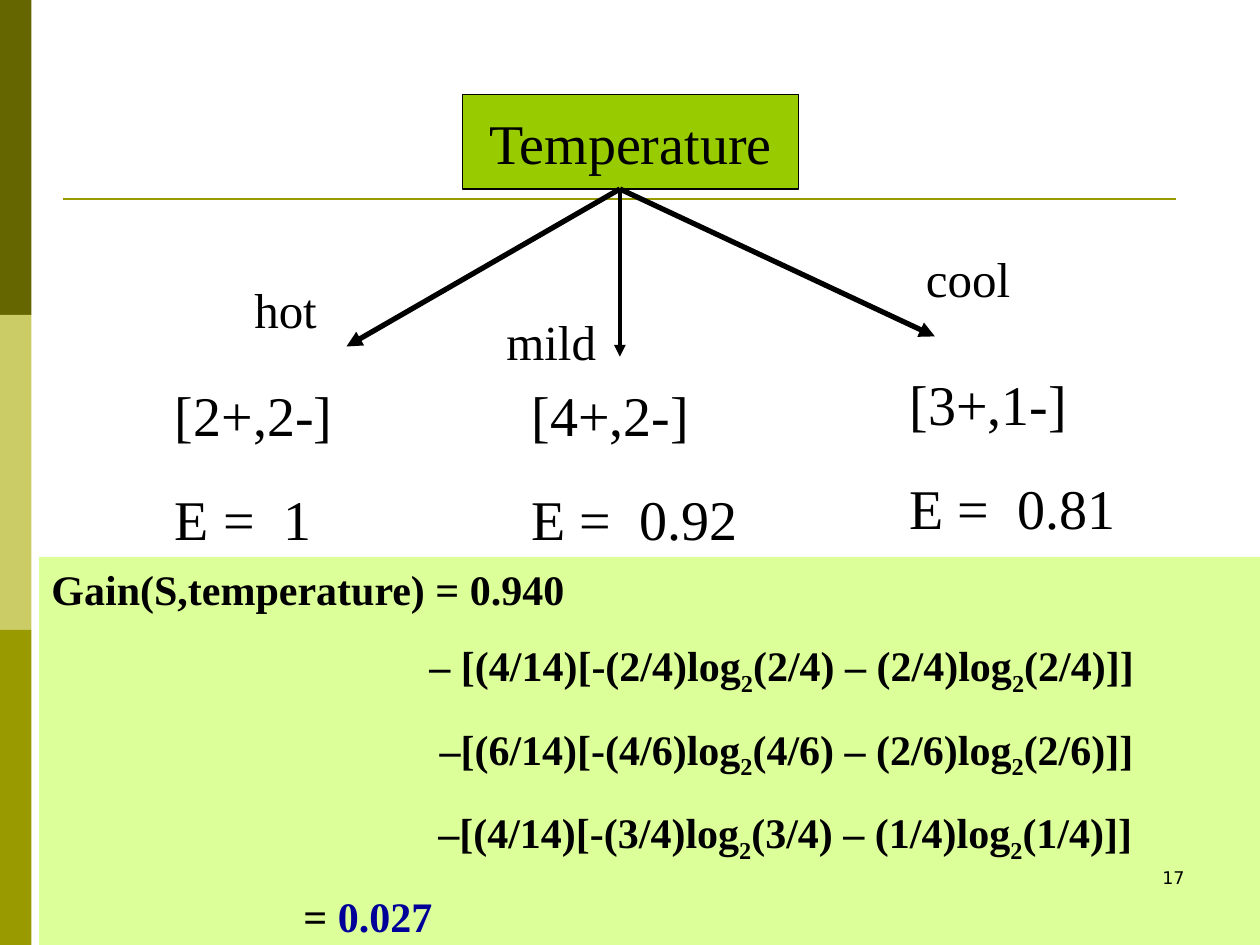
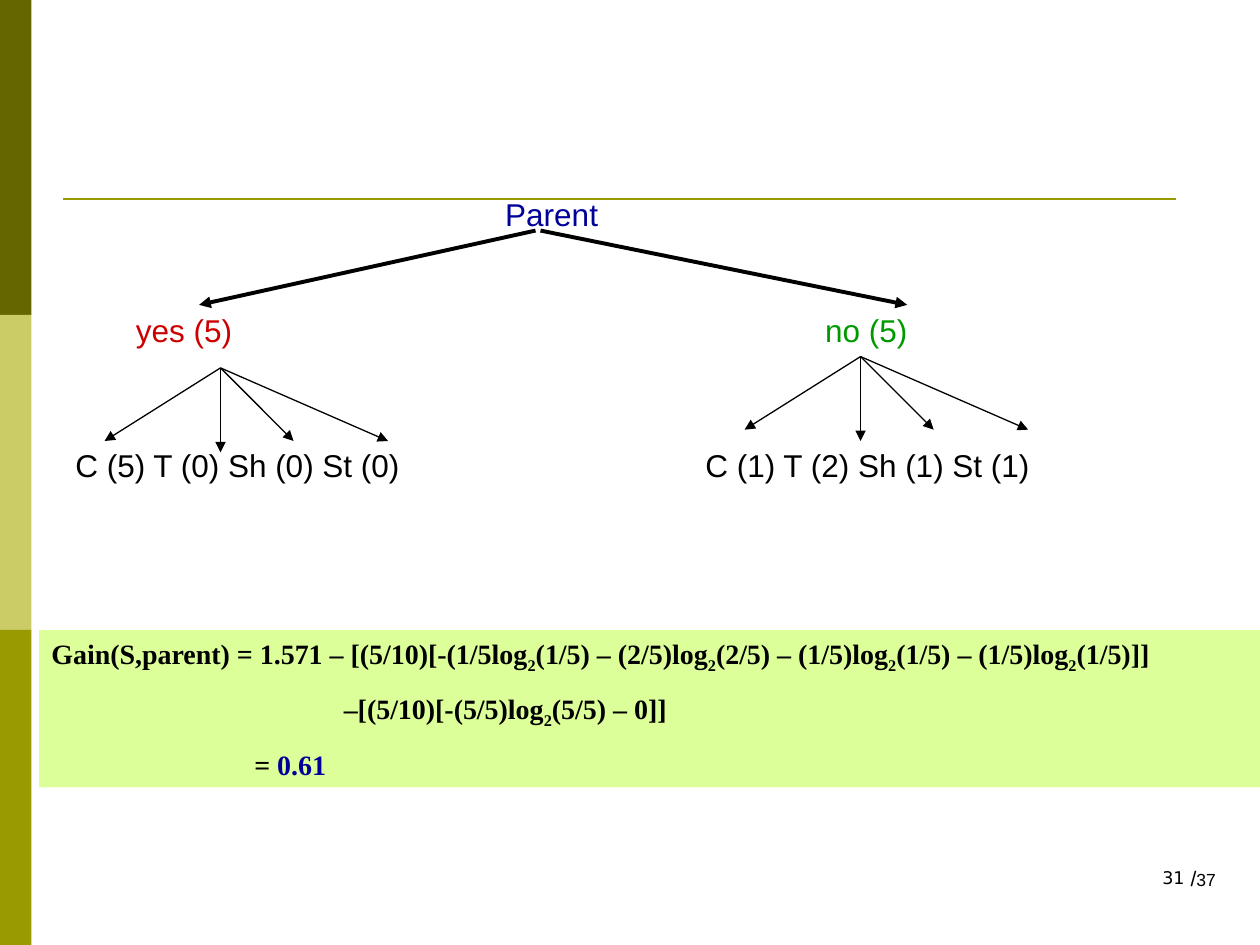
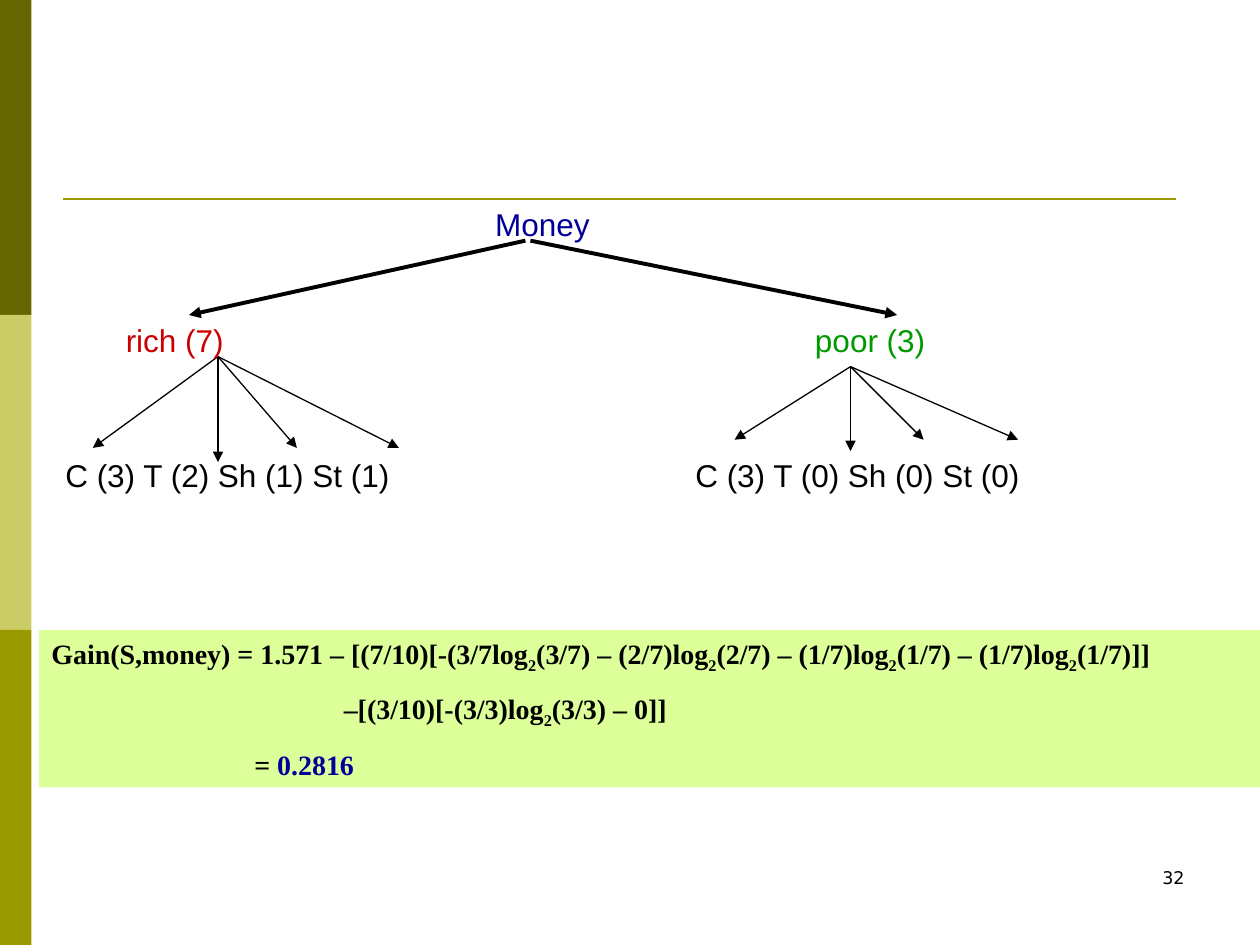
from lxml import etree
from pptx import Presentation
from pptx import util as u
from pptx.dml.color import RGBColor
from pptx.enum import shapes, text
from pptx.oxml.ns import qn

rgb = RGBColor.from_string
SERIF, SANS, NUMBER_FONT = "Times New Roman", "Arial", "DejaVu Sans"
BLACK, NAVY, RED, GREEN = "000000", "000099", "CC0000", "009900"
LIME, PALE_LIME, OLIVE = "99CC00", "DDFF99", "999900"
BAND_COLORS = ["666600", "CCCC66", OLIVE]
BAND_WIDTH, PANEL_LEFT = 0.25, 0.31


def write(para, words, size, font, color=BLACK, bold=False):
    """Add the words to a paragraph, with the 2 of every log2 as a subscript."""
    pieces = words.replace("log2", "log|2|").split("|")
    for index, piece in enumerate(pieces):
        span = para.add_run()
        span.text = piece
        span.font.size = u.Pt(size)
        span.font.name = font
        span.font.bold = bold
        span.font.color.rgb = rgb(color)
        if index % 2:
            span.font._element.set("baseline", "-25000")


def draw_line(page, start, end, width, color=BLACK, arrow=True):
    line = page.shapes.add_connector(
        shapes.MSO_CONNECTOR.STRAIGHT, *[u.Inches(n) for n in (*start, *end)])
    line.line.width = u.Pt(width)
    line.line.color.rgb = rgb(color)
    properties = line.element.spPr
    if arrow:
        etree.SubElement(properties.find(qn("a:ln")), qn("a:tailEnd"), type="triangle")
    etree.SubElement(properties, qn("a:effectLst"))
    return line


# Temperature: three branches, each with its label, class counts and entropy
root = (4.92, 1.5)
branches = [
    # name, label position, counts position, counts, entropy, arrow tip, line width
    ("hot", (1.92, 2.17), (1.29, 2.97), "[2+,2-]", "1", (2.75, 2.75), 3),
    ("mild", (3.92, 2.42), (4.12, 2.97), "[4+,2-]", "0.92", (4.92, 2.83), 2.25),
    ("cool", (7.25, 1.92), (7.12, 2.88), "[3+,1-]", "0.81", (7.42, 2.67), 3),
]
temperature = {
    "title": ("Temperature", (3.67, 0.75, 2.67, 0.75), 32, SERIF, BLACK, LIME),
    "labels": [], "arrows": [], "number": "17", "total": "",
    "panel": (4.42, 3.08, 24, 15),
    "formula": [
        (0, "Gain(S,temperature) = 0.940"),
        (3, "– [(4/14)[-(2/4)log2(2/4) – (2/4)log2(2/4)]]"),
        (3.08, "–[(6/14)[-(4/6)log2(4/6) – (2/6)log2(2/6)]]"),
        (3.07, "–[(4/14)[-(3/4)log2(3/4) – (1/4)log2(1/4)]]"),
        (2, "= "),
    ],
    "gain": "0.027",
}
for name, label_at, counts_at, counts, entropy, tip, width in branches:
    temperature["labels"] += [
        (label_at, [name], 28, SERIF, BLACK),
        (counts_at, [counts, f"E =\t{entropy}"], 32, SERIF, BLACK),
    ]
    temperature["arrows"].append((root, tip, width))
pages = [temperature]

# Parent and Money: the same two-level tree, moved by a small shift
FAN = [(-0.92, 0.58), (0, 0.67), (0.58, 0.58), (1.33, 0.58)]
trees = [
    # attribute, shift, values, leaf counts, left fan apex, left fan stretch
    ("Parent", 0, ("yes (5)", "no (5)"),
     ("C (5) T (0) Sh (0) St (0)", "C (1) T (2) Sh (1) St (1)"), (1.75, 2.92), (1, 1)),
    ("Money", 0.08, ("rich (7)", "poor (3)"),
     ("C (3) T (2) Sh (1) St (1)", "C (3) T (0) Sh (0) St (0)"), (1.73, 2.83), (1.08, 1.25)),
]
results = [
    ("31", "/37", "0.61", [
        (0, "Gain(S,parent) = 1.571 – [(5/10)[-(1/5log2(1/5) – (2/5)log2(2/5)"
            " – (1/5)log2(1/5) – (1/5)log2(1/5)]]"),
        (2.32, "–[(5/10)[-(5/5)log2(5/5) – 0]]"),
        (1.61, "= ")]),
    ("32", "", "0.2816", [
        (0, "Gain(S,money) = 1.571 – [(7/10)[-(3/7log2(3/7) – (2/7)log2(2/7)"
            " – (1/7)log2(1/7) – (1/7)log2(1/7)]]"),
        (2.32, "–[(3/10)[-(3/3)log2(3/3) – 0]]"),
        (1.61, "= ")]),
]
for tree, (number, total, gain, formula) in zip(trees, results):
    attribute, shift, values, leaves, left_apex, stretch = tree
    labels, arrows = [], []
    for value, left, color in zip(values, (0.98, 6.45), (RED, GREEN)):
        labels.append(((left - shift, 2.42 + shift), [value], 18, SANS, color))
    for leaf, left in zip(leaves, (0.5, 5.5)):
        labels.append(((left - shift, 3.49 + shift), [leaf], 18, SANS, BLACK))
    for start, end in ((4.25, 1.58), (4.29, 7.2)):
        arrows.append(((start - shift, 1.83 + shift), (end - shift, 2.42 + shift), 2.25))
    right_apex = (6.83 - shift, 2.83 + shift)
    for (x, y), (wide, tall) in ((left_apex, stretch), (right_apex, (1, 1))):
        for across, down in FAN:
            arrows.append(((x, y), (x + across * wide, y + down * tall), 0.75))
    pages.append({
        "title": (attribute, (3.91 - shift, 1.5 + shift, 1.2, 0.4), 18, SANS, NAVY, None),
        "labels": labels, "arrows": arrows, "number": number, "total": total,
        "panel": (5, 1.25, 16, 10), "formula": formula, "gain": gain,
    })

deck = Presentation()
deck.slide_width, deck.slide_height = u.Inches(10), u.Inches(7.5)

# Shared layout: three side bands and the rule
layout = deck.slide_layouts.get_by_name("Title Only")
for holder in list(layout.placeholders)[1:]:
    holder.element.getparent().remove(holder.element)
slides = [deck.slides.add_slide(layout) for _ in pages]
band_height = deck.slide_height // len(BAND_COLORS)
decor = []
for row, color in enumerate(BAND_COLORS):
    band = slides[0].shapes.add_shape(
        shapes.MSO_SHAPE.RECTANGLE, 0, row * band_height, u.Inches(BAND_WIDTH), band_height)
    band.shadow.inherit = False
    band.fill.solid()
    band.fill.fore_color.rgb = rgb(color)
    band.line.fill.background()
    decor.append(band)
decor.append(draw_line(slides[0], (0.5, 1.58), (9.33, 1.58), 1.5, OLIVE, arrow=False))
for part in decor:
    layout.shapes.element.append(part.element)

for page, content in zip(slides, pages):
    words, place, size, font, color, fill = content["title"]
    title = page.shapes.title
    title.left, title.top, title.width, title.height = [u.Inches(n) for n in place]
    frame = title.text_frame
    frame.auto_size = text.MSO_AUTO_SIZE.NONE
    frame.word_wrap = True
    frame.vertical_anchor = text.MSO_ANCHOR.MIDDLE if fill else text.MSO_ANCHOR.TOP
    frame.paragraphs[0].alignment = text.PP_ALIGN.CENTER if fill else text.PP_ALIGN.LEFT
    write(frame.paragraphs[0], words, size, font, color)
    if fill:
        title.fill.solid()
        title.fill.fore_color.rgb = rgb(fill)
        title.line.color.rgb = rgb(BLACK)
        title.line.width = u.Pt(0.75)

    # Gain formula on its panel
    top, height, size, gap = content["panel"]
    panel = page.shapes.add_shape(
        shapes.MSO_SHAPE.RECTANGLE, u.Inches(PANEL_LEFT), u.Inches(top),
        deck.slide_width - u.Inches(PANEL_LEFT), u.Inches(height))
    panel.shadow.inherit = False
    panel.fill.solid()
    panel.fill.fore_color.rgb = rgb(PALE_LIME)
    panel.line.fill.background()
    frame = panel.text_frame
    frame.word_wrap = True
    frame.vertical_anchor = text.MSO_ANCHOR.TOP
    for index, (indent, words) in enumerate(content["formula"]):
        para = frame.add_paragraph() if index else frame.paragraphs[0]
        para.alignment = text.PP_ALIGN.LEFT
        para.space_before = u.Pt(gap if index else 0)
        para._p.get_or_add_pPr().set("marL", str(u.Inches(indent)))
        write(para, words, size, SERIF, bold=True)
    write(para, content["gain"], size, SERIF, NAVY, bold=True)

    for start, end, width in content["arrows"]:
        draw_line(page, start, end, width)

    for (left, top), lines, size, font, color in content["labels"]:
        box = page.shapes.add_textbox(
            u.Inches(left), u.Inches(top), u.Inches(3 if size == 18 else 2.58),
            u.Inches(0.57 * len(lines)))
        box.text_frame.word_wrap = True
        for index, words in enumerate(lines):
            para = box.text_frame.add_paragraph() if index else box.text_frame.paragraphs[0]
            if "\t" in words:
                tabs = etree.SubElement(para._p.get_or_add_pPr(), qn("a:tabLst"))
                etree.SubElement(tabs, qn("a:tab"), pos=str(u.Inches(0.86)), algn="l")
            para.space_before = u.Pt(21 if index else 0)
            write(para, words, size, font, color)

    # Page number, with the page total where it is given
    box = page.shapes.add_textbox(u.Inches(7.17), u.Inches(6.83), u.Inches(2.33), u.Inches(0.5))
    box.text_frame.word_wrap = True
    box.text_frame.paragraphs[0].alignment = text.PP_ALIGN.RIGHT
    write(box.text_frame.paragraphs[0], content["number"], 10, NUMBER_FONT)
    if content["total"]:
        box = page.shapes.add_textbox(u.Inches(9.35), u.Inches(6.82), u.Inches(0.58), u.Inches(0.3))
        box.text_frame.word_wrap = True
        write(box.text_frame.paragraphs[0], content["total"][0], 12, SANS)
        write(box.text_frame.paragraphs[0], content["total"][1:], 10, SANS)

deck.save("out.pptx")
